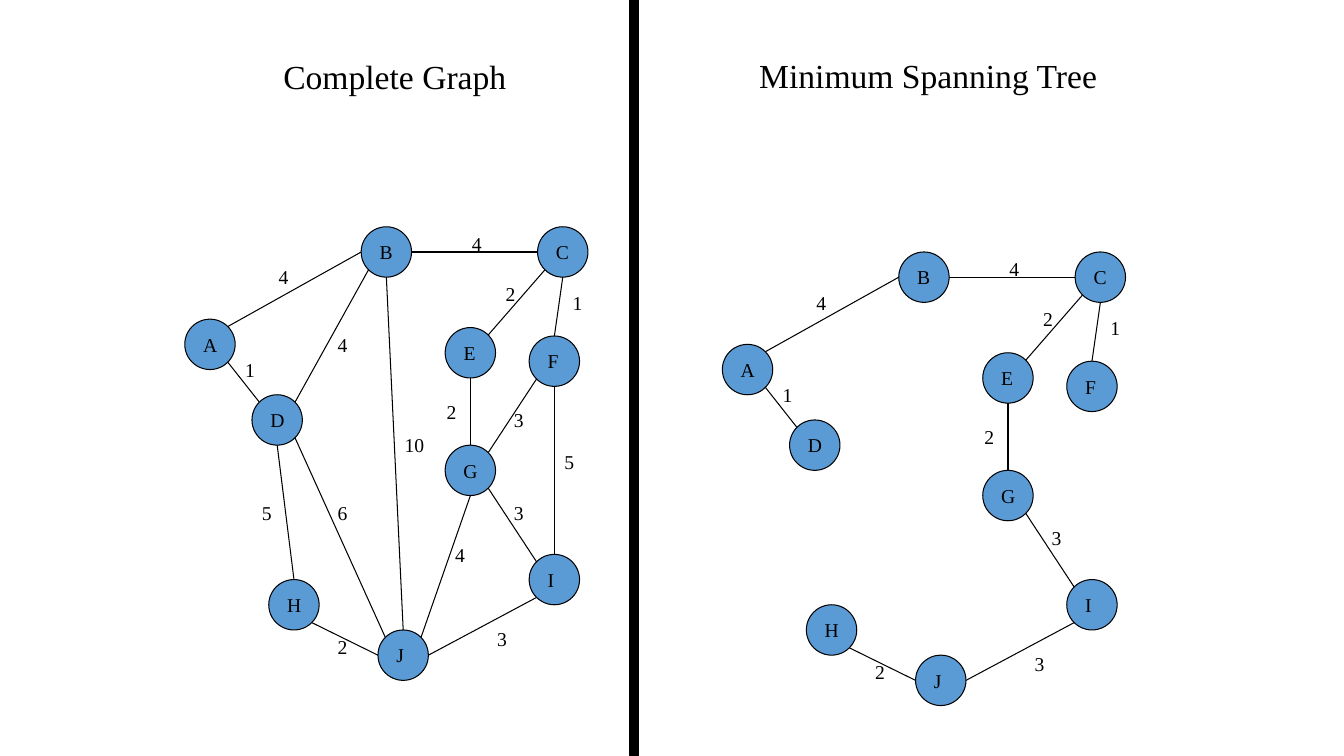
"""Draw a weighted graph next to its minimum spanning tree."""
import pptx
import pptx.dml.color
import pptx.enum.shapes
import pptx.enum.text
import pptx.oxml
import pptx.util

COLORS = {"ink": "000000", "node": "5B9BD5"}
FONT = "Times New Roman"
GRID = 2.54 / 12
NODE_SIZE = 6
LABEL_HEIGHT = 4

TITLES = {"Complete Graph": (24, 6, 46, 6), "Minimum Spanning Tree": (89, 6, 43, 6)}
DIVIDER = (75, 0, 1, 90)
NODES = {
    "A": (22, 38), "B": (43, 27), "C": (64, 27), "D": (30, 47), "E": (53, 39),
    "F": (63, 40), "G": (53, 53), "H": (32, 69), "I": (63, 66), "J": (45, 75),
}
EDGES = {
    "AB": ("ne", "w", "4", (32, 31)),
    "AD": ("se", "nw", "1", (28, 42)),
    "BC": ("e", "w", "4", (55, 27)),
    "BD": ("sw", "ne", "4", (39, 39)),
    "BJ": ("s", "n", "10", (47, 51)),
    "CE": ("sw", "ne", "2", (59, 33)),
    "CF": ("s", "n", "1", (67, 34)),
    "EG": ("s", "n", "2", (52, 47)),
    "FG": ("sw", "ne", "3", (60, 48)),
    "FI": ("s", "n", "5", (66, 53)),
    "GI": ("se", "nw", "3", (60, 59)),
    "GJ": ("s", "ne", "4", (53, 64)),
    "DH": ("s", "n", "5", (30, 59)),
    "DJ": ("se", "nw", "6", (39, 59)),
    "HJ": ("se", "w", "2", (39, 75)),
    "IJ": ("sw", "e", "3", (58, 74)),
}
TREE = ["AB", "AD", "BC", "CE", "CF", "EG", "GI", "HJ", "IJ"]
GRAPHS = [(EDGES, (0, 0)), (TREE, (64, 3))]
DIRECTIONS = {
    "n": (0, -1), "s": (0, 1), "e": (1, 0), "w": (-1, 0),
    "ne": (0.71, -0.71), "nw": (-0.71, -0.71), "se": (0.71, 0.71), "sw": (-0.71, 0.71),
}
LETTER_WIDTHS = {"B": 0.67, "C": 0.67, "E": 0.61, "F": 0.56, "I": 0.33, "J": 0.39}


def grid(*steps):
    return [pptx.util.Cm(step * GRID) for step in steps]


def color(name):
    return pptx.dml.color.RGBColor.from_string(COLORS[name])


def write(box, text, size):
    span = box.text_frame.paragraphs[0].add_run()
    span.text = text
    span.font.name = FONT
    span.font.size = pptx.util.Pt(size)
    span.font.color.rgb = color("ink")


def add_filled(page, kind, place, fill):
    shape = page.shapes.add_shape(kind, *grid(*place))
    shape.shadow.inherit = False
    shape.fill.solid()
    shape.fill.fore_color.rgb = color(fill)
    shape.line.color.rgb = color("ink")
    shape.line.width = pptx.util.Pt(0.75)


def add_label(page, text, left, top):
    ems = sum(0.5 if char.isdigit() else LETTER_WIDTHS.get(char, 0.72) for char in text)
    width = pptx.util.Cm(0.51) + int(ems * pptx.util.Pt(14))
    box = page.shapes.add_textbox(*grid(left, top), width, *grid(LABEL_HEIGHT))
    box.text_frame.word_wrap = False
    box.text_frame.auto_size = pptx.enum.text.MSO_AUTO_SIZE.SHAPE_TO_FIT_TEXT
    write(box, text, 14)


def rim_point(node, direction, shift):
    radius = NODE_SIZE / 2
    return [
        start + move + radius * (1 + unit)
        for start, move, unit in zip(NODES[node], shift, DIRECTIONS[direction])
    ]


def add_edge(page, start, end):
    line = page.shapes.add_connector(
        pptx.enum.shapes.MSO_CONNECTOR.STRAIGHT, *grid(*start, *end)
    )
    line.line.color.rgb = color("ink")
    line.line.width = pptx.util.Pt(0.75)
    properties = line.element.find(pptx.oxml.ns.qn("p:spPr"))
    properties.append(pptx.oxml.xmlchemy.OxmlElement("a:effectLst"))


def add_graph(page, edges, shift):
    for edge in edges:
        leave, arrive, weight, (left, top) = EDGES[edge]
        start, end = edge
        add_edge(page, rim_point(start, leave, shift), rim_point(end, arrive, shift))
        add_label(page, weight, left + shift[0], top + shift[1])
    for name, (left, top) in NODES.items():
        x, y = left + shift[0], top + shift[1]
        oval = pptx.enum.shapes.MSO_SHAPE.OVAL
        add_filled(page, oval, (x, y, NODE_SIZE, NODE_SIZE), "node")
        add_label(page, name, x + 1, y + 1)


def add_titles(page):
    places = [grid(*place) for place in TITLES.values()]
    boxes = [page.shapes.title, page.shapes.add_textbox(*places[1])]
    for box, text, place in zip(boxes, TITLES, places):
        box.left, box.top, box.width, box.height = place
        frame = box.text_frame
        frame.word_wrap = True
        frame.auto_size = pptx.enum.text.MSO_AUTO_SIZE.SHAPE_TO_FIT_TEXT
        frame.vertical_anchor = pptx.enum.text.MSO_ANCHOR.TOP
        frame.paragraphs[0].alignment = pptx.enum.text.PP_ALIGN.CENTER
        write(box, text, 24)


def main():
    deck = pptx.Presentation()
    deck.slide_width, deck.slide_height = grid(160, 90)
    page = deck.slides.add_slide(deck.slide_layouts[5])
    add_filled(page, pptx.enum.shapes.MSO_SHAPE.RECTANGLE, DIVIDER, "ink")
    add_titles(page)
    for edges, shift in GRAPHS:
        add_graph(page, edges, shift)
    deck.save("out.pptx")


if __name__ == "__main__":
    main()
